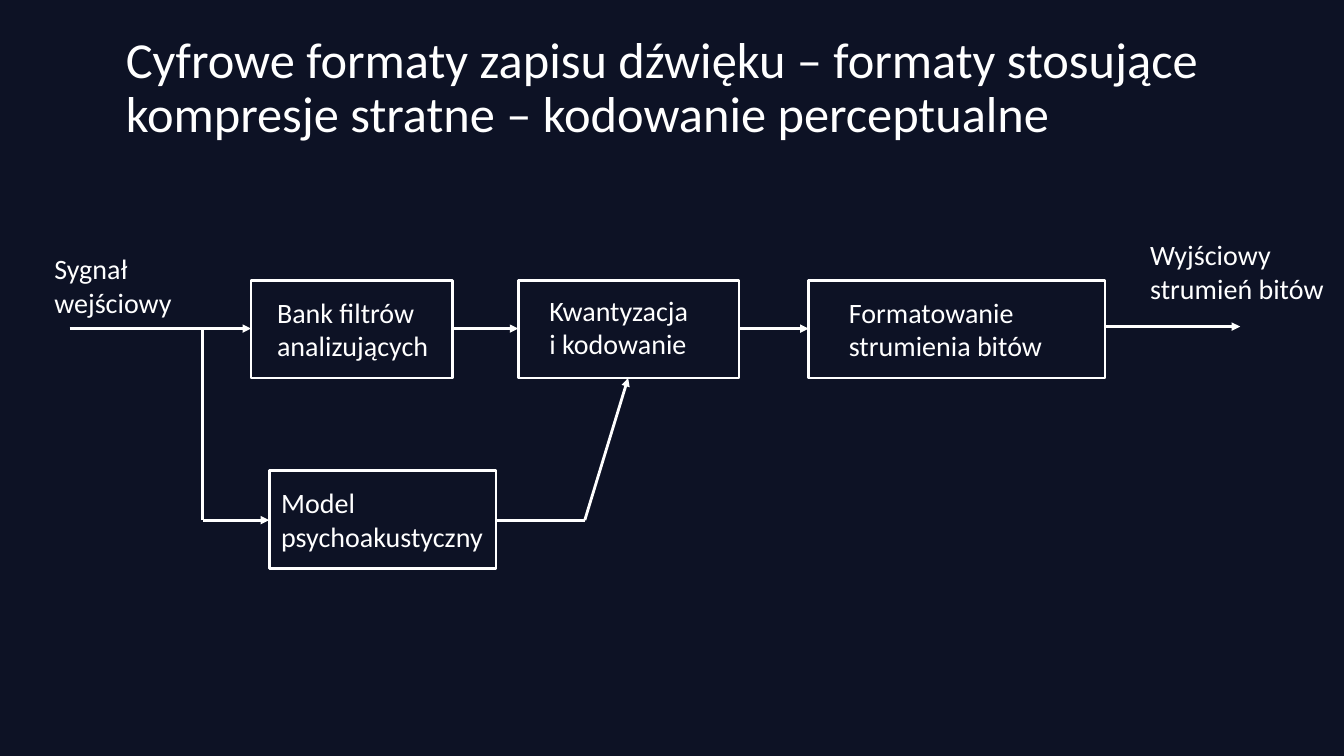
from pptx import Presentation
from pptx.dml.color import RGBColor
from pptx.enum.shapes import MSO_CONNECTOR, MSO_SHAPE
from pptx.enum.text import MSO_ANCHOR
from pptx.oxml.ns import qn
from pptx.util import Inches, Pt
from lxml import etree

COLORS = {"background": "0D1225", "white": "FFFFFF"}
WHITE = RGBColor.from_string(COLORS["white"])

prs = Presentation()
prs.slide_width, prs.slide_height = Inches(13.33), Inches(7.5)
s = prs.slides.add_slide(prs.slide_layouts[6])
s.background.fill.solid()
s.background.fill.fore_color.rgb = RGBColor.from_string(COLORS["background"])


def add_text(text, x, y, w, h, size):
    tf = s.shapes.add_textbox(Inches(x), Inches(y), Inches(w), Inches(h)).text_frame
    tf.word_wrap = True
    p = tf.paragraphs[0]
    p.text = text
    p.font.name, p.font.size = "Calibri", Pt(size)
    p.font.color.rgb = WHITE
    return tf


def add_line(x1, y1, x2, y2, arrow):
    line = s.shapes.add_connector(
        MSO_CONNECTOR.STRAIGHT, Inches(x1), Inches(y1), Inches(x2), Inches(y2))
    line.line.color.rgb = WHITE
    line.line.width = Pt(2)
    if arrow:
        etree.SubElement(line.line._get_or_add_ln(), qn("a:tailEnd"), type="triangle")
    etree.SubElement(line._element.spPr, qn("a:effectLst"))


# Title
tf = add_text("Cyfrowe formaty zapisu dźwięku – formaty stosujące kompresje stratne"
              " – kodowanie perceptualne", 1.15, 0.4, 11.2, 0.97, 36)
tf.vertical_anchor = MSO_ANCHOR.MIDDLE
tf.paragraphs[0].line_spacing = 0.9

# Processing blocks: left, top, width
for x, y, w in [(2.49, 2.78, 2), (5.14, 2.78, 2.19), (8.02, 2.78, 2.94), (2.67, 4.67, 2.25)]:
    block = s.shapes.add_shape(
        MSO_SHAPE.RECTANGLE, Inches(x), Inches(y), Inches(w), Inches(0.97))
    block.shadow.inherit = False
    block.fill.background()
    block.line.color.rgb = WHITE
    block.line.width = Pt(2)

# Signal path and the branch through the psychoacoustic model
main_y, branch_y = 3.26, 5.16
for x1, y1, x2, y2, arrow in [
    (0.69, main_y, 2.49, main_y, True),
    (4.49, main_y, 5.14, main_y, True),
    (7.33, main_y, 8.02, main_y, True),
    (10.96, 3.24, 12.3, 3.24, True),
    (2.01, branch_y, 2.01, main_y, False),
    (2.01, branch_y, 2.67, branch_y, True),
    (4.92, branch_y, 5.8, branch_y, False),
    (5.8, branch_y, 6.23, 3.75, True),
]:
    add_line(x1, y1, x2, y2, arrow)

# Labels: text, left, top, width
for text, x, y, w in [
    ("Sygnał wejściowy", 0.44, 2.45, 1.81),
    ("Bank filtrów analizujących", 2.65, 2.88, 1.9),
    ("Kwantyzacja \vi kodowanie", 5.35, 2.86, 2.62),
    ("Formatowanie strumienia bitów", 8.32, 2.88, 2.78),
    ("Wyjściowy strumień bitów", 11.31, 2.31, 1.97),
    ("Model psychoakustyczny", 2.69, 4.77, 2.5),
]:
    add_text(text, x, y, w, 0.77, 20)

prs.save("out.pptx")
